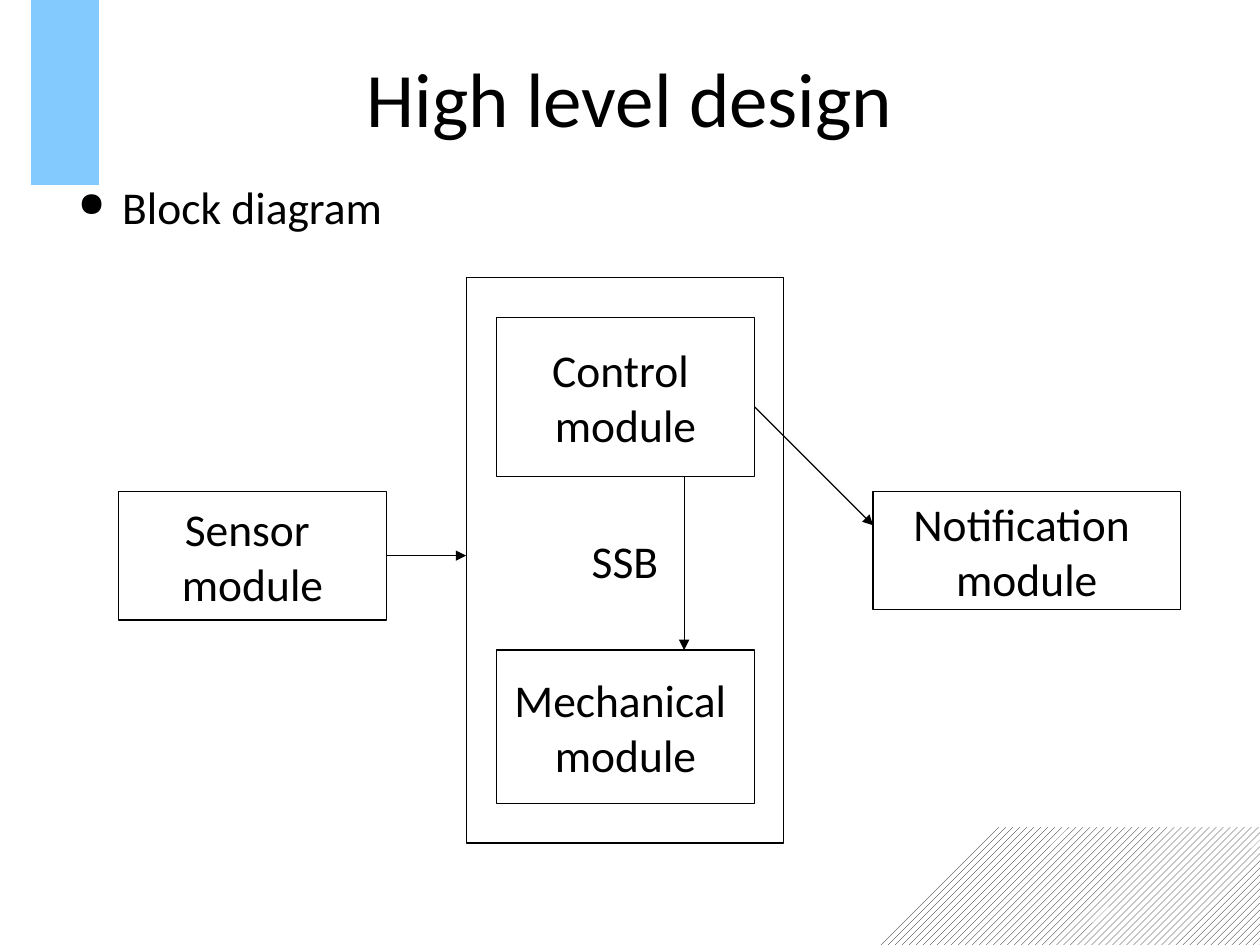
from dataclasses import dataclass

from lxml import etree
from pptx import Presentation
from pptx.dml.color import RGBColor
from pptx.enum.dml import MSO_PATTERN
from pptx.enum.shapes import MSO_CONNECTOR, MSO_SHAPE
from pptx.enum.text import MSO_ANCHOR, PP_ALIGN
from pptx.oxml.ns import qn
from pptx.util import Inches, Pt

RECT = MSO_SHAPE.RECTANGLE
STRAIGHT = MSO_CONNECTOR.STRAIGHT
HATCH = MSO_PATTERN.WIDE_UPWARD_DIAGONAL
TOP, MIDDLE = MSO_ANCHOR.TOP, MSO_ANCHOR.MIDDLE
LEFT, CENTER = PP_ALIGN.LEFT, PP_ALIGN.CENTER
COLS, ROWS = 100, 75


@dataclass(frozen=True)
class Theme:
    """Colours, type sizes and line width of the slide."""

    ink: RGBColor = RGBColor(0, 0, 0)
    paper: RGBColor = RGBColor(255, 255, 255)
    accent: RGBColor = RGBColor(0x83, 0xCA, 0xFF)
    font: str = "Calibri"
    title: int = 44
    body: int = 26
    line: float = 0.75


def write(tf, text, theme, size, align=CENTER, anchor=MIDDLE, inset=(0, 0), bullet=None):
    """Fill a text frame with one paragraph per line of text."""
    tf.word_wrap = True
    tf.vertical_anchor = anchor
    tf.margin_left = tf.margin_right = Inches(inset[0])
    tf.margin_top = tf.margin_bottom = Inches(inset[1])
    tf.text = text
    for p in tf.paragraphs:
        p.alignment = align
        if bullet:
            pPr = p._p.get_or_add_pPr()
            pPr.set("marL", str(Inches(0.47)))
            pPr.set("indent", str(Inches(-0.35)))
            etree.SubElement(pPr, qn("a:buSzPct"), val="75000")
            etree.SubElement(pPr, qn("a:buChar"), char=bullet)
        for r in p.runs:
            r.font.name = theme.font
            r.font.size = Pt(size)
            r.font.color.rgb = theme.ink


class Deck:
    """Holds the theme and the current slide, measured in a 100 by 75 grid."""

    def __init__(self, theme):
        """Start a presentation with one blank slide."""
        self.theme = theme
        self.prs = Presentation()
        self.prs.slide_width, self.prs.slide_height = Inches(10), Inches(7.5)
        self.s = self.prs.slides.add_slide(self.prs.slide_layouts[6])

    def grid(self, *values):
        """Turn alternating columns and rows into lengths."""
        units = (self.prs.slide_width / COLS, self.prs.slide_height / ROWS)
        return [round(v * units[i % 2]) for i, v in enumerate(values)]

    def outline(self, line, color):
        """Set the colour and standard width of a line."""
        line.color.rgb = color
        line.width = Pt(self.theme.line)

    def text(self, at, text, size, **fmt):
        """Add a text box."""
        sp = self.s.shapes.add_textbox(*self.grid(*at))
        write(sp.text_frame, text, self.theme, size, **fmt)

    def box(self, at, text="", fill=None, line=None):
        """Add a rectangle with an optional centred label."""
        sp = self.s.shapes.add_shape(RECT, *self.grid(*at))
        sp.shadow.inherit = False
        sp.fill.solid()
        sp.fill.fore_color.rgb = fill or self.theme.paper
        self.outline(sp.line, line or self.theme.ink)
        if text:
            write(sp.text_frame, text, self.theme, self.theme.body, inset=(0.1, 0.05))

    def arrow(self, *ends):
        """Add a straight arrow between two grid points."""
        c = self.s.shapes.add_connector(STRAIGHT, *self.grid(*ends))
        self.outline(c.line, self.theme.ink)
        etree.SubElement(c.line._get_or_add_ln(), qn("a:tailEnd"), type="triangle")
        etree.SubElement(c._element.spPr, qn("a:effectLst"))

    def hatched(self, points):
        """Add a closed polygon with a diagonal hatch."""
        start, *rest = [self.grid(*point) for point in points]
        fb = self.s.shapes.build_freeform(*start)
        fb.add_line_segments(rest, close=True)
        sp = fb.convert_to_shape()
        sp.shadow.inherit = False
        sp.fill.patterned()
        sp.fill.pattern = HATCH
        sp.fill.fore_color.rgb = self.theme.ink
        sp.fill.back_color.rgb = self.theme.paper
        self.outline(sp.line, self.theme.paper)


def main():
    """Build the block diagram slide."""
    theme = Theme()
    deck = Deck(theme)
    deck.text((5, 1.4, 90, 12.5), "High level design", theme.title)
    deck.text((5, 14.2, 90, 55.1), "Block diagram", theme.body,
              align=LEFT, anchor=TOP, bullet="●")

    inner_left, inner_width = 39.4, 20.5
    inner_right = inner_left + inner_width
    for at, label in (
        ((9.4, 39, 21.3, 10.2), "Sensor \nmodule"),
        ((69.3, 39, 24.4, 9.4), "Notification \nmodule"),
        ((37, 22, 25.2, 44.9), "SSB"),
        ((inner_left, 25.2, inner_width, 12.6), "Control \nmodule"),
        ((inner_left, 51.6, inner_width, 12.2), "Mechanical \nmodule"),
    ):
        deck.box(at, label)

    deck.arrow(30.7, 44.1, 37, 44.1)
    deck.arrow(inner_right, 32.3, 69.3, 41.7)
    deck.arrow(54.3, 37.8, 54.3, 51.6)

    deck.box((2.4, -0.8, 5.5, 15.5), fill=theme.accent, line=theme.paper)
    deck.hatched([(79.2, 65.6), (110.2, 65.6), (100.3, 75.2), (69.3, 75.2)])
    deck.prs.save("out.pptx")


if __name__ == "__main__":
    main()
